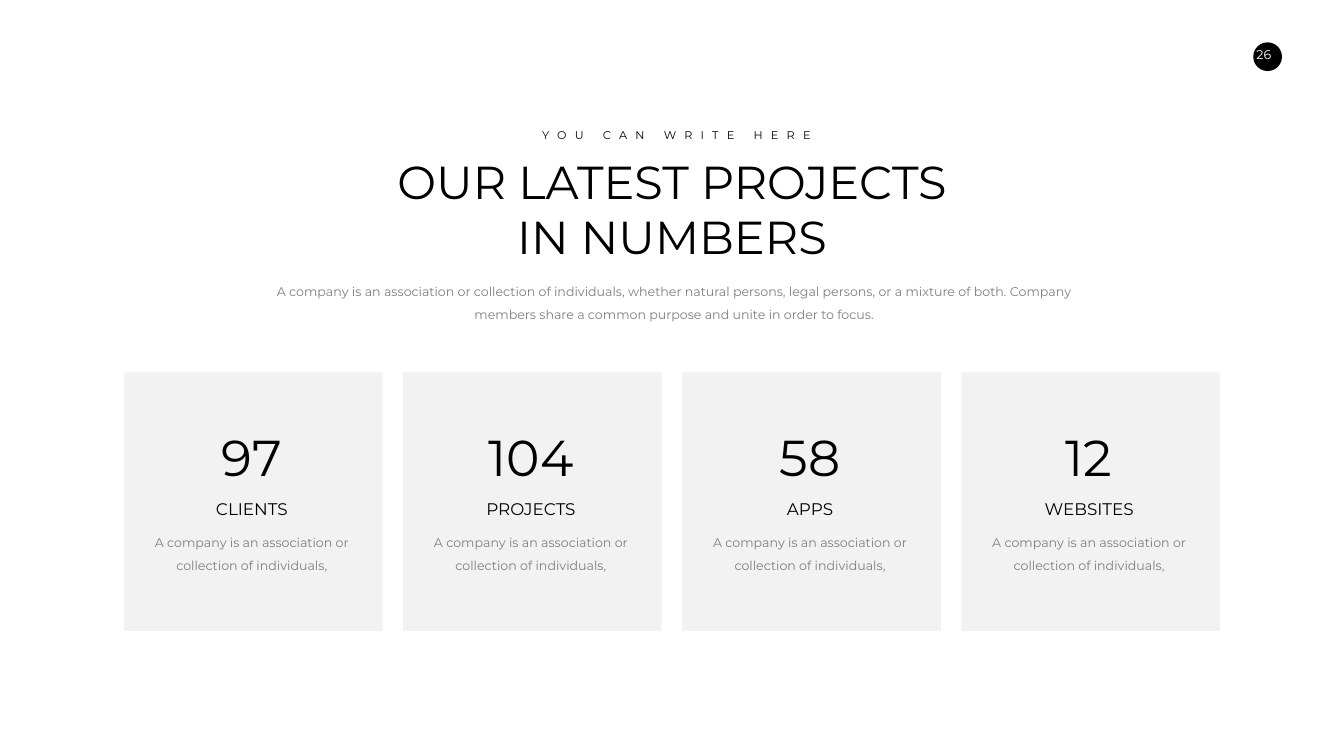
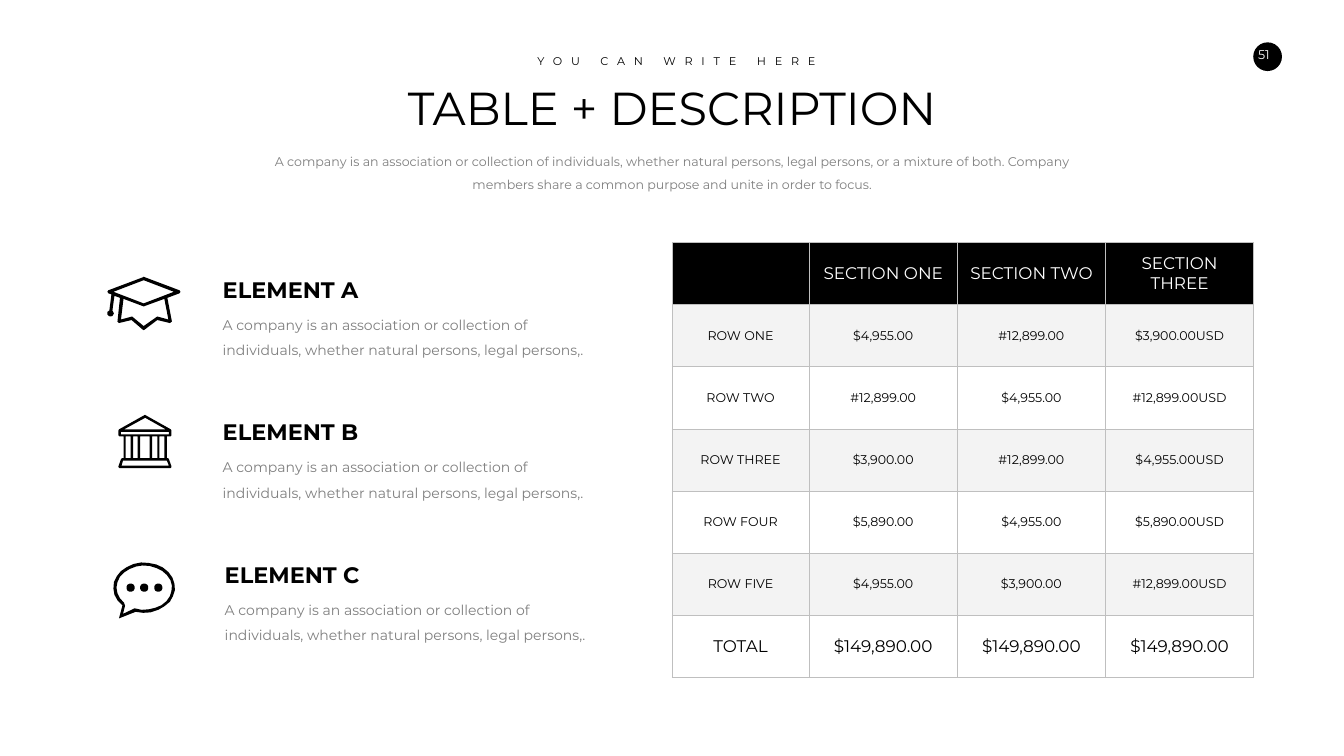
import math

import lxml.etree
import pptx
import pptx.dml.color
import pptx.enum.shapes
import pptx.enum.text
import pptx.oxml.ns
import pptx.util

PX = 9144  # EMU in one px, 100 px to the inch
SLIDE_WIDTH, SLIDE_HEIGHT = 2666, 1500
FONT = "Montserrat"
BLACK, WHITE, GREY = "000000", "FFFFFF", "7F7F7F"
CARD_FILL, BAND_FILL, BORDER = "F2F2F2", "F3F3F3", "BFBFBF"
CENTER = pptx.enum.text.PP_ALIGN.CENTER
LEFT = pptx.enum.text.PP_ALIGN.LEFT
SHAPES = pptx.enum.shapes.MSO_SHAPE

KICKER = "YOU CAN WRITE HERE"
INTRO = ("A company is an association or collection of individuals, whether natural persons, "
         "legal persons, or a mixture of both. Company members share a common purpose "
         "and unite in order to focus.")

# number, label, number width, label width
CARDS = [("97", "CLIENTS", 170, 184), ("104", "PROJECTS", 234, 227),
         ("58", "APPS", 172, 126), ("12", "WEBSITES", 146, 224)]
CARD_TEXT = "A company is an association or collection of individuals,"

# heading, left
ELEMENTS = [("ELEMENT A", 432), ("ELEMENT B", 432), ("ELEMENT C", 436)]
ELEMENT_TEXT = ("A company is an association or collection of individuals, "
                "whether natural persons, legal persons,.")

TABLE = [
    ("", "SECTION ONE", "SECTION TWO", "SECTION THREE"),
    ("ROW ONE", "$4,955.00", "#12,899.00", "$3,900.00USD"),
    ("ROW TWO", "#12,899.00", "$4,955.00", "#12,899.00USD"),
    ("ROW THREE", "$3,900.00", "#12,899.00", "$4,955.00USD"),
    ("ROW FOUR", "$5,890.00", "$4,955.00", "$5,890.00USD"),
    ("ROW FIVE", "$4,955.00", "$3,900.00", "#12,899.00USD"),
    ("TOTAL", "$149,890.00", "$149,890.00", "$149,890.00"),
]
COLUMN_WIDTHS = (272, 294, 294, 294)
TABLE_HEIGHT = 863


def box(left, top, right, bottom):
    """Corner points of a rectangle."""
    return [(left, top), (right, top), (right, bottom), (left, bottom)]


def arc(center, radii, start=0, end=345, step=15):
    """Points along an ellipse, angles in degrees, clockwise from the right."""
    count = math.ceil((end - start) / step)
    angles = [math.radians(start + (end - start) * i / count) for i in range(count + 1)]
    return [(round(center[0] + radii[0] * math.cos(a)),
             round(center[1] + radii[1] * math.sin(a))) for a in angles]


GRADUATION_CAP = [
    [(358, 579), (356, 576), (287, 550), (285, 549), (284, 550), (215, 576), (213, 579),
     (215, 582), (221, 584), (217, 616), (213, 619), (213, 624), (216, 627), (219, 628),
     (223, 627), (226, 622), (223, 616), (227, 587), (238, 591), (233, 638), (236, 641),
     (261, 635), (283, 654), (285, 655), (287, 654), (312, 635), (337, 641), (341, 638),
     (332, 591), (356, 582)],
    [(285, 602), (225, 579), (285, 556), (345, 579)],
    [(334, 634), (312, 628), (285, 647), (262, 628), (240, 634), (245, 593), (285, 608),
     (326, 593)],
]
COLUMN_GAPS = [(249, 259), (264, 273), (278, 297), (302, 312), (316, 326)]
BANK = [
    [(338, 866), (340, 864), (340, 854), (339, 852), (289, 824), (288, 823), (286, 824),
     (236, 852), (235, 854), (235, 864), (237, 866), (245, 866), (245, 909), (242, 909),
     (240, 911), (235, 925), (235, 927), (237, 929), (338, 929), (340, 927), (340, 925),
     (335, 911), (333, 909), (331, 909), (331, 866)],
    box(240, 857, 335, 862),
    [(331, 914), (335, 924), (241, 924), (244, 914)],
    [(288, 829), (329, 852), (246, 852)],
] + [box(left, 866, right, 909) for left, right in COLUMN_GAPS]
SPEECH_BUBBLE = [
    arc((286, 1166), (61, 50), 135, 466) + [(236, 1227)],
    arc((286, 1166), (55, 44), 137, 470) + [(244, 1218), (248, 1202)],
] + [arc((x, 1166), (8, 8)) for x in (259, 286, 314)]


def color(value):
    return pptx.dml.color.RGBColor.from_string(value)


def px(*lengths):
    return [round(length * PX) for length in lengths]


def write(frame, text, size=18, fill=BLACK, bold=False, align=CENTER, line_spacing=None,
          letter_spacing=None):
    """Fill a text frame, one paragraph for each line of the text."""
    for index, line in enumerate(text.split("\n")):
        paragraph = frame.add_paragraph() if index else frame.paragraphs[0]
        paragraph.alignment = align
        if line_spacing:
            paragraph.line_spacing = line_spacing
        run = paragraph.add_run()
        run.text = line
        run.font.name, run.font.size, run.font.bold = FONT, pptx.util.Pt(size), bold
        run.font.color.rgb = color(fill)
        if letter_spacing:
            run.font._element.set("spc", str(round(letter_spacing * 100)))


def add_text(slide, text, left, top, width, height, wrap=True, insets=(10, 5), **style):
    frame = slide.shapes.add_textbox(*px(left, top, width, height)).text_frame
    frame.word_wrap = wrap
    frame.margin_left = frame.margin_right = px(insets[0])[0]
    frame.margin_top = frame.margin_bottom = px(insets[1])[0]
    write(frame, text, **style)


def paint(shape, fill):
    shape.shadow.inherit = False
    shape.fill.solid()
    shape.fill.fore_color.rgb = color(fill)
    shape.line.fill.background()


def add_filled(slide, kind, left, top, width, height, fill):
    paint(slide.shapes.add_shape(kind, *px(left, top, width, height)), fill)


def add_icon(slide, contours):
    """Draw nested outlines as one black shape; inner outlines cut holes."""
    builder = slide.shapes.build_freeform(*contours[0][0], scale=PX)
    for index, points in enumerate(contours):
        if index:
            builder.move_to(*points[0])
        builder.add_line_segments(points[1:], close=True)
    paint(builder.convert_to_shape(), BLACK)


def set_borders(cell):
    properties = cell._tc.get_or_add_tcPr()
    for position, tag in enumerate(("a:lnL", "a:lnR", "a:lnT", "a:lnB")):
        line = lxml.etree.Element(pptx.oxml.ns.qn(tag), w=str(pptx.util.Pt(0.75)))
        solid = lxml.etree.SubElement(line, pptx.oxml.ns.qn("a:solidFill"))
        lxml.etree.SubElement(solid, pptx.oxml.ns.qn("a:srgbClr"), val=BORDER)
        properties.insert(position, line)


def add_page(presentation, number, title, title_top, title_width, title_height,
             kicker_width, kicker_spacing, intro_left):
    """Add a slide with its page badge and centred heading block."""
    slide = presentation.slides.add_slide(presentation.slide_layouts[6])
    add_filled(slide, SHAPES.OVAL, 2486, 84, 57, 57, BLACK)
    add_text(slide, number, 2464, 84, 86, 50, insets=(20, 10), fill=WHITE)
    middle = SLIDE_WIDTH / 2
    add_text(slide, title, middle - title_width / 2, title_top, title_width, title_height,
             size=66)
    # shifted right to balance the spacing after the last letter
    add_text(slide, KICKER, middle - kicker_width / 2 + 9, title_top - 50, kicker_width, 37,
             wrap=False, size=16, letter_spacing=kicker_spacing)
    add_text(slide, INTRO, intro_left, title_top + title_height + 13, 1603, 101,
             fill=GREY, line_spacing=1.5)
    return slide


def add_cards(slide):
    left, right, top, side = 246, 2420, 739, 513
    text_inset, text_width = 20, 467
    pitch = (right - left - side) / (len(CARDS) - 1)
    for index, (number, label, number_width, label_width) in enumerate(CARDS):
        card_left = left + index * pitch
        text_left = card_left + text_inset
        middle = text_left + text_width / 2
        add_filled(slide, SHAPES.RECTANGLE, card_left, top, side, side, CARD_FILL)
        add_text(slide, number, middle - number_width / 2, top + 101, number_width, 145,
                 wrap=False, size=72)
        add_text(slide, label, middle - label_width / 2, top + 246, label_width, 57,
                 wrap=False, size=24)
        add_text(slide, CARD_TEXT, text_left, top + 303, text_width, 111,
                 fill=GREY, line_spacing=1.5)


def add_elements(slide):
    for index, (heading, left) in enumerate(ELEMENTS):
        top = 542 + 283 * index
        add_text(slide, heading, left, top, 573, 64, size=32, bold=True, align=LEFT)
        add_text(slide, ELEMENT_TEXT, left, top + 64, 746, 111, size=20, fill=GREY,
                 align=LEFT, line_spacing=1.5)
    for icon in (GRADUATION_CAP, BANK, SPEECH_BUBBLE):
        add_icon(slide, icon)


def add_price_table(slide):
    last = len(TABLE) - 1
    table = slide.shapes.add_table(
        len(TABLE), len(COLUMN_WIDTHS),
        *px(1333, 481, sum(COLUMN_WIDTHS), TABLE_HEIGHT)).table
    for column, width in zip(table.columns, COLUMN_WIDTHS):
        column.width = px(width)[0]
    for row_index, values in enumerate(TABLE):
        table.rows[row_index].height = px(TABLE_HEIGHT / len(TABLE))[0]
        if row_index == 0:
            fill = BLACK
        else:
            fill = BAND_FILL if row_index % 2 else WHITE
        for column_index, value in enumerate(values):
            cell = table.cell(row_index, column_index)
            cell.fill.solid()
            cell.fill.fore_color.rgb = color(fill)
            cell.vertical_anchor = pptx.enum.text.MSO_ANCHOR.MIDDLE
            set_borders(cell)
            if value:
                write(cell.text_frame, value, size=24 if row_index in (0, last) else 18,
                      fill=BLACK if row_index else WHITE)


def main():
    presentation = pptx.Presentation()
    presentation.slide_width, presentation.slide_height = px(SLIDE_WIDTH, SLIDE_HEIGHT)

    numbers = add_page(presentation, "26", "OUR LATEST PROJECTS\nIN NUMBERS", title_top=299,
                       title_width=1270, title_height=232, kicker_width=578,
                       kicker_spacing=11.8, intro_left=536)
    add_cards(numbers)

    prices = add_page(presentation, "51", "TABLE + DESCRIPTION", title_top=152,
                      title_width=1213, title_height=121, kicker_width=685,
                      kicker_spacing=12.6, intro_left=532)
    add_price_table(prices)
    add_elements(prices)

    presentation.save("out.pptx")


if __name__ == "__main__":
    main()
